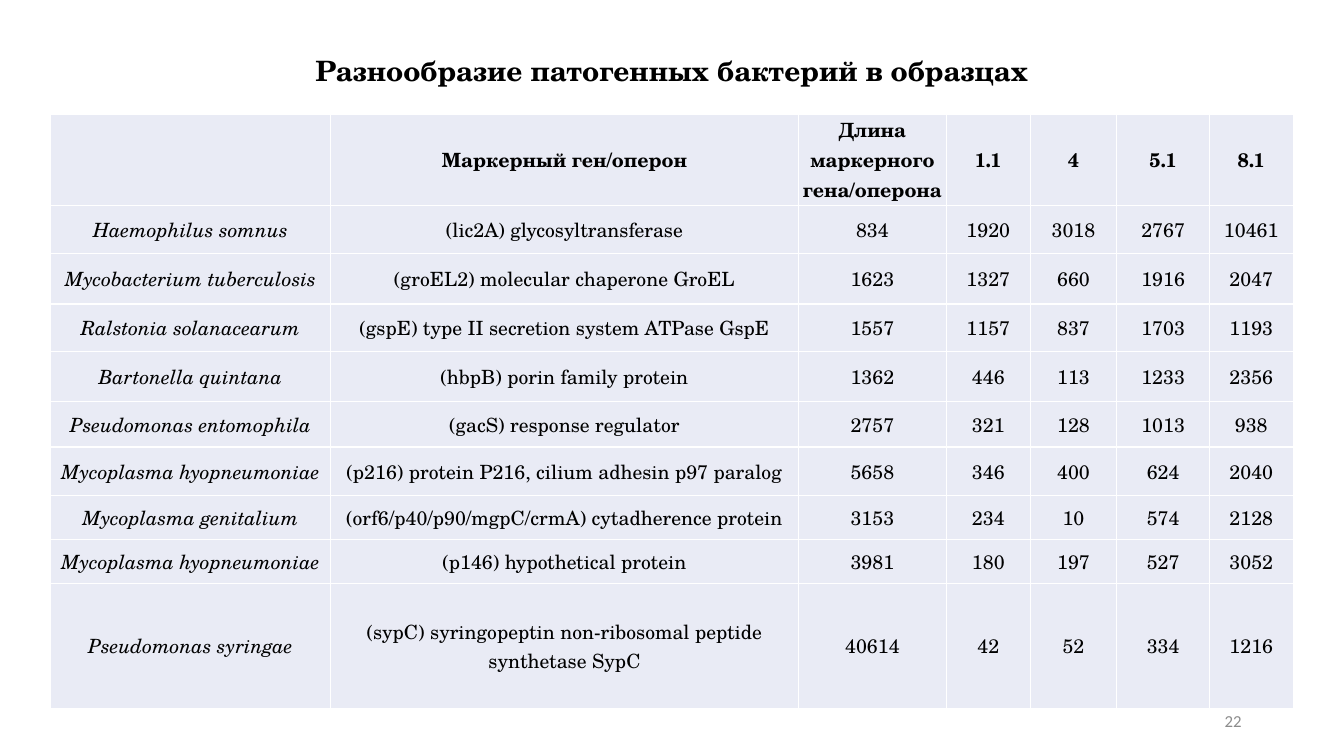
import pptx
import pptx.dml.color
import pptx.enum.text
import pptx.oxml
import pptx.oxml.ns
import pptx.util

Pt = pptx.util.Pt
RGBColor = pptx.dml.color.RGBColor
ALIGN = pptx.enum.text.PP_ALIGN
MIDDLE = pptx.enum.text.MSO_ANCHOR.MIDDLE

BLACK = RGBColor(0x00, 0x00, 0x00)
GREY = RGBColor(0x8C, 0x8C, 0x8C)
PALE = RGBColor(0xE9, 0xEB, 0xF5)
WHITE = RGBColor(0xFF, 0xFF, 0xFF)

SERIF = "TeX Gyre Schola"
TITLE = {"name": SERIF, "size": Pt(20), "bold": True}
HEAD = {"name": SERIF, "size": Pt(14), "bold": True, "italic": False}
PLAIN = {**HEAD, "bold": False}
LATIN = {**PLAIN, "italic": True}
PAGE = {"name": "Calibri", "size": Pt(12)}
CELL = {"margin_left": 0, "margin_right": 0, "margin_top": 0,
        "margin_bottom": 0, "vertical_anchor": MIDDLE}

WIDTHS = [200.2, 334.1, 105.8, 59.8, 61.9, 66.2, 59.8]
HEIGHTS = [53.3, 34.6, 36, 33.8, 36, 32.4, 34.6, 31.7, 31, 89.3]
ROWS = [
    ["", "Маркерный ген/оперон", "Длина маркерного гена/оперона",
     "1.1", "4", "5.1", "8.1"],
    ["Haemophilus somnus", "(lic2A) glycosyltransferase",
     "834", "1920", "3018", "2767", "10461"],
    ["Mycobacterium tuberculosis", "(groEL2) molecular chaperone GroEL",
     "1623", "1327", "660", "1916", "2047"],
    ["Ralstonia solanacearum", "(gspE) type II secretion system ATPase GspE",
     "1557", "1157", "837", "1703", "1193"],
    ["Bartonella quintana", "(hbpB) porin family protein",
     "1362", "446", "113", "1233", "2356"],
    ["Pseudomonas entomophila", "(gacS) response regulator",
     "2757", "321", "128", "1013", "938"],
    ["Mycoplasma hyopneumoniae", "(p216) protein P216, cilium adhesin p97 paralog",
     "5658", "346", "400", "624", "2040"],
    ["Mycoplasma genitalium", "(orf6/p40/p90/mgpC/crmA) cytadherence protein",
     "3153", "234", "10", "574", "2128"],
    ["Mycoplasma hyopneumoniae", "(p146) hypothetical protein",
     "3981", "180", "197", "527", "3052"],
    ["Pseudomonas syringae",
     "(sypC) syringopeptin non-ribosomal peptide synthetase SypC",
     "40614", "42", "52", "334", "1216"],
]


def apply(item, form):
    for key, value in form.items():
        setattr(item, key, value)


def write(frame, text, form, color, align):
    line = frame.paragraphs[0]
    line.alignment = align
    run = line.add_run()
    run.text = text
    apply(run.font, form)
    run.font.color.rgb = color
    return line


def place(shape, left, top, width, height):
    apply(shape, {"left": Pt(left), "top": Pt(top),
                  "width": Pt(width), "height": Pt(height)})


def add_title(slide, text):
    title = slide.shapes.title
    place(title, 66, 28.8, 828, 46.1)
    apply(title.text_frame, {"vertical_anchor": MIDDLE, "word_wrap": True})
    line = write(title.text_frame, text, TITLE, BLACK, ALIGN.CENTER)
    line.line_spacing = 0.9


def add_page(slide, text):
    box = slide.shapes.add_textbox(Pt(678), Pt(500.4), Pt(216), Pt(28.8))
    apply(box.text_frame, {"vertical_anchor": MIDDLE, "word_wrap": True})
    write(box.text_frame, text, PAGE, GREY, ALIGN.RIGHT)


def edge(cell):
    props = cell._tc.get_or_add_tcPr()
    for spot, side in enumerate("LRTB"):
        props.insert(spot, pptx.oxml.parse_xml(
            f'<a:ln{side} {pptx.oxml.ns.nsdecls("a")} w="{Pt(1)}">'
            f'<a:solidFill><a:srgbClr val="{WHITE}"/></a:solidFill></a:ln{side}>'))


def fill_cell(cell, text, form):
    apply(cell, CELL)
    cell.fill.solid()
    cell.fill.fore_color.rgb = PALE
    edge(cell)
    if text:
        write(cell.text_frame, text, form, BLACK, ALIGN.CENTER)


def add_grid(slide):
    frame = slide.shapes.add_table(
        len(ROWS), len(WIDTHS), Pt(36), Pt(81.4),
        Pt(sum(WIDTHS)), Pt(sum(HEIGHTS)))
    table = frame.table
    apply(table, {"first_row": False, "horz_banding": False})
    for col, width in zip(table.columns, WIDTHS):
        col.width = Pt(width)
    for row, height in zip(table.rows, HEIGHTS):
        row.height = Pt(height)
    for r, row in enumerate(ROWS):
        for c, text in enumerate(row):
            form = HEAD if r == 0 else LATIN if c == 0 else PLAIN
            fill_cell(table.cell(r, c), text, form)


def main():
    deck = pptx.Presentation()
    apply(deck, {"slide_width": Pt(960), "slide_height": Pt(540)})
    slide = deck.slides.add_slide(deck.slide_layouts[5])
    add_title(slide, "Разнообразие патогенных бактерий в образцах")
    add_grid(slide)
    add_page(slide, "22")
    deck.save("out.pptx")


if __name__ == "__main__":
    main()
